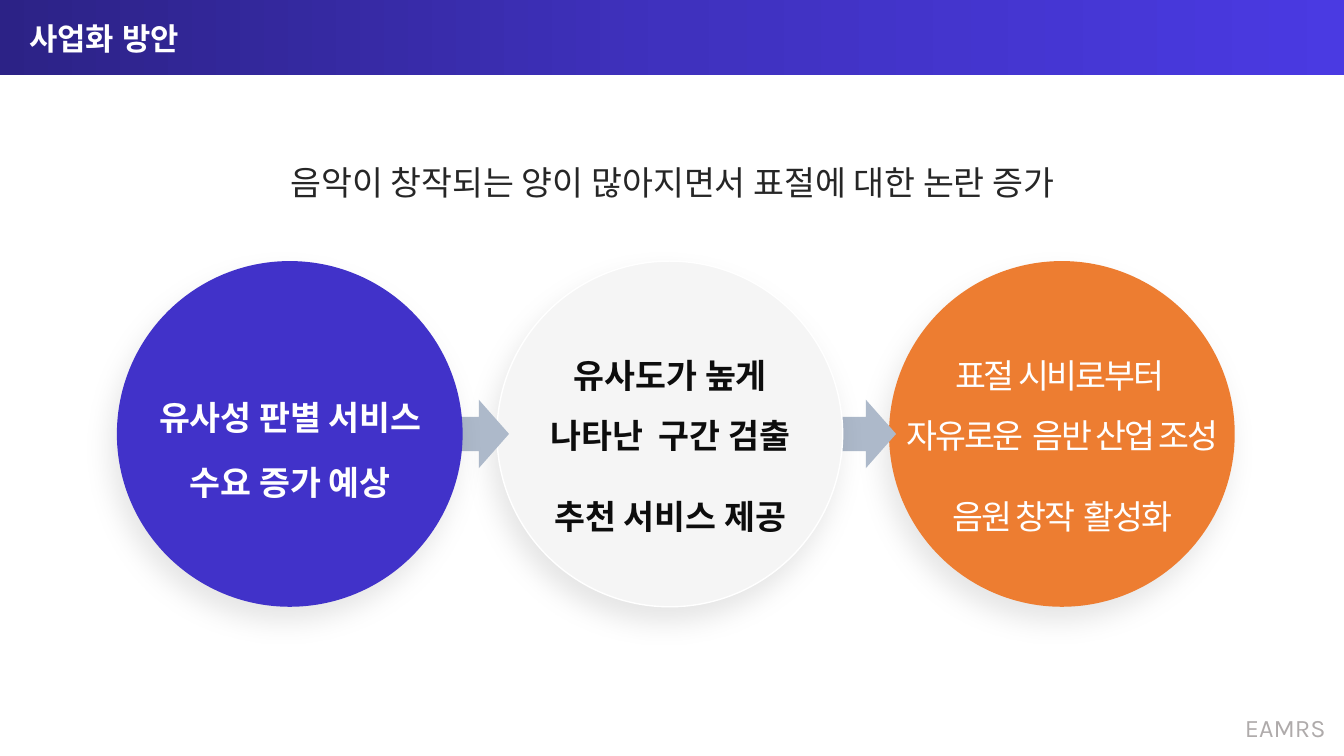
from lxml import etree
from pptx import Presentation
from pptx import util as u
from pptx.dml import color
from pptx.enum import shapes, text
from pptx.oxml import ns

COLUMNS, ROWS = 40, 22.5
CIRCLE_SIZE, CIRCLE_TOP = 10.29, 7.77
ARROW_WIDTH, ARROW_HEIGHT = 1.8, 2.04


def paint(value):
    return color.RGBColor.from_string(value)


def add_element(parent, tag, **attributes):
    return etree.SubElement(parent, ns.qn(tag), {k: str(v) for k, v in attributes.items()})


class Slide:
    font = "Noto Sans CJK KR"
    size = 24

    def __init__(self, deck):
        self.cell_width = deck.slide_width / COLUMNS
        self.cell_height = deck.slide_height / ROWS
        self.page = deck.slides.add_slide(deck.slide_layouts[6])

    def place(self, left, top, width, height):
        return [u.Emu(round(n)) for n in (left * self.cell_width, top * self.cell_height,
                                          width * self.cell_width, height * self.cell_height)]

    def shape(self, kind, left, top, width, height, fill):
        shape = self.page.shapes.add_shape(kind, *self.place(left, top, width, height))
        shape.shadow.inherit = False
        shape.fill.solid()
        shape.fill.fore_color.rgb = paint(fill)
        shape.line.fill.background()
        return shape

    def band(self, height, stops):
        band = self.shape(shapes.MSO_SHAPE.RECTANGLE, 0, 0, COLUMNS, height, stops[0])
        band.fill.gradient()
        band.fill.gradient_angle = 0
        stop_list = band._element.spPr.find(".//" + ns.qn("a:gsLst"))
        for stop in list(stop_list):
            stop_list.remove(stop)
        for index, value in enumerate(stops):
            stop = add_element(stop_list, "a:gs", pos=100000 * index // (len(stops) - 1))
            add_element(stop, "a:srgbClr", val=value)

    def circle(self, left, fill, outline=None):
        circle = self.shape(shapes.MSO_SHAPE.OVAL, left, CIRCLE_TOP, CIRCLE_SIZE, CIRCLE_SIZE, fill)
        if outline:
            circle.line.color.rgb = paint(outline)
            circle.line.width = u.Pt(1)
        effects = circle._element.spPr.find(ns.qn("a:effectLst"))
        shadow = add_element(effects, "a:outerShdw", blurRad=u.Pt(20), dist=u.Pt(11),
                             dir=114 * 60000, algn="ctr", rotWithShape=0)
        add_element(add_element(shadow, "a:srgbClr", val="000000"), "a:alpha", val=10000)

    def arrow(self, left):
        top = CIRCLE_TOP + (CIRCLE_SIZE - ARROW_HEIGHT) / 2
        self.shape(shapes.MSO_SHAPE.RIGHT_ARROW, left, top, ARROW_WIDTH, ARROW_HEIGHT, "ADB9CA")

    def text(self, left, top, width, height, lines, fill, bold=False, spacing=None,
             font=None, size=None, tracking=None, align=text.PP_ALIGN.CENTER,
             anchor=text.MSO_ANCHOR.TOP):
        box = self.page.shapes.add_textbox(*self.place(left, top, width, height))
        frame = box.text_frame
        frame.word_wrap = True
        frame.vertical_anchor = anchor
        for index, line in enumerate(lines):
            para = frame.add_paragraph() if index else frame.paragraphs[0]
            para.alignment = align
            if spacing:
                para.line_spacing = spacing[index]
            span = para.add_run()
            span.text = line
            span.font.name = font or self.font
            span.font.size = u.Pt(size or self.size)
            span.font.bold = bold
            span.font.color.rgb = paint(fill)
            properties = span.font._element
            add_element(properties, "a:ea", typeface=font or self.font)
            if tracking:
                properties.set("spc", str(round(tracking * 100)))


def main():
    deck = Presentation()
    deck.slide_width, deck.slide_height = u.Inches(13.333), u.Inches(7.5)
    slide = Slide(deck)

    slide.band(2.22, ["2C2286", "3F31BE", "4A3AE2"])
    slide.text(36.48, 21.06, 3.54, 1.2, ["EAMRS"], "AFABAB", font="Karla", size=18)
    slide.circle(26.46, "ED7D31")
    slide.arrow(24.87)
    slide.circle(14.79, "F5F5F5", outline="FFFFFF")
    slide.arrow(13.35)
    slide.text(0.57, 0.3, 21.57, 1.83, ["사업화 방안"], "FFFFFF", bold=True, spacing=[0.9],
               font="Arial", size=22, align=text.PP_ALIGN.LEFT, anchor=text.MSO_ANCHOR.MIDDLE)
    slide.circle(3.48, "4132C9")
    slide.text(3.87, 10.95, 9.54, 3.99, ["유사성 판별 서비스", "수요 증가 예상"],
               "FFFFFF", bold=True, spacing=[1.6, 1.6])
    slide.text(7.68, 4.68, 24.66, 1.5,
               ["음악이 창작되는 양이 많아지면서 표절에 대한 논란 증가"], "262626")
    slide.text(25.95, 9.81, 11.34, 6.06,
               ["표절 시비로부터 ", "자유로운  음반 산업 조성", "음원 창작  활성화"],
               "FFFFFF", spacing=[1.5, 1.5, 2.0], tracking=-1.5)
    slide.text(14.58, 9.81, 10.74, 6.06,
               ["유사도가 높게", "나타난  구간 검출", "추천 서비스 제공"],
               "0D0D0D", bold=True, spacing=[1.5, 1.5, 2.0])

    deck.save("out.pptx")


if __name__ == "__main__":
    main()
